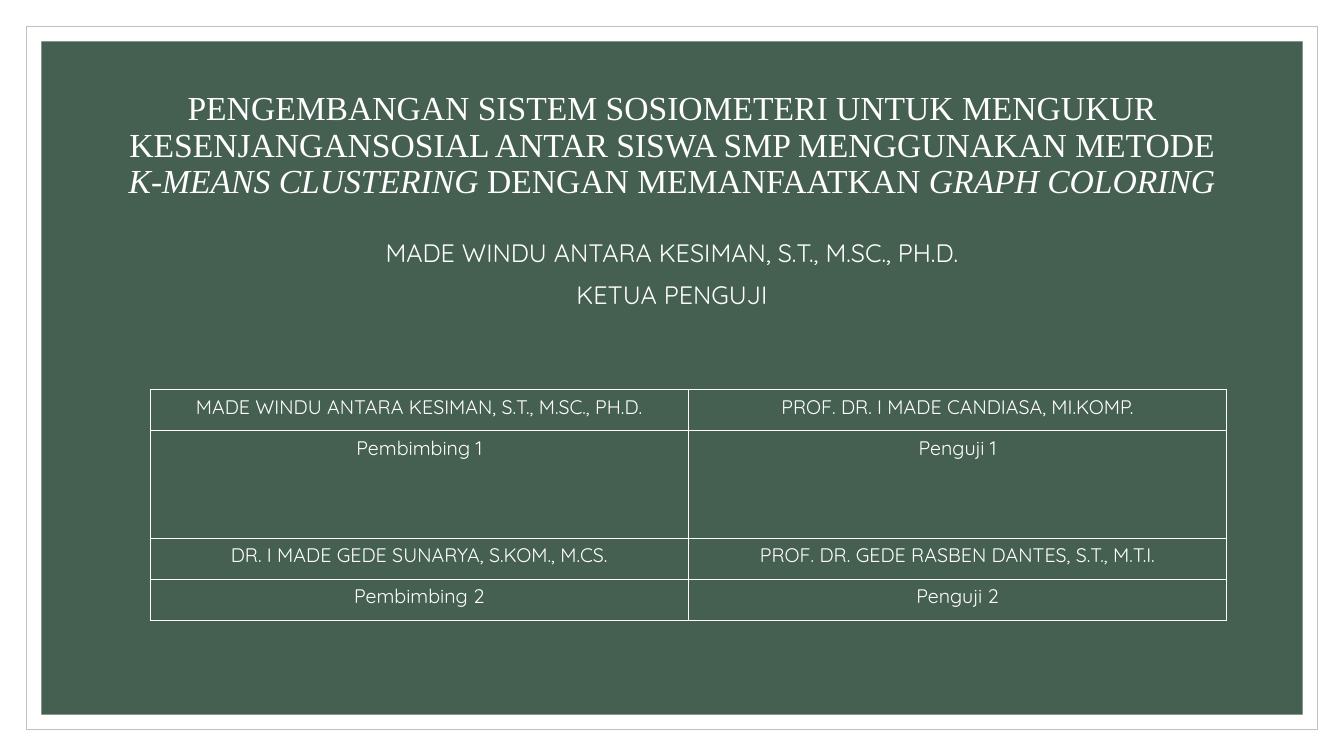
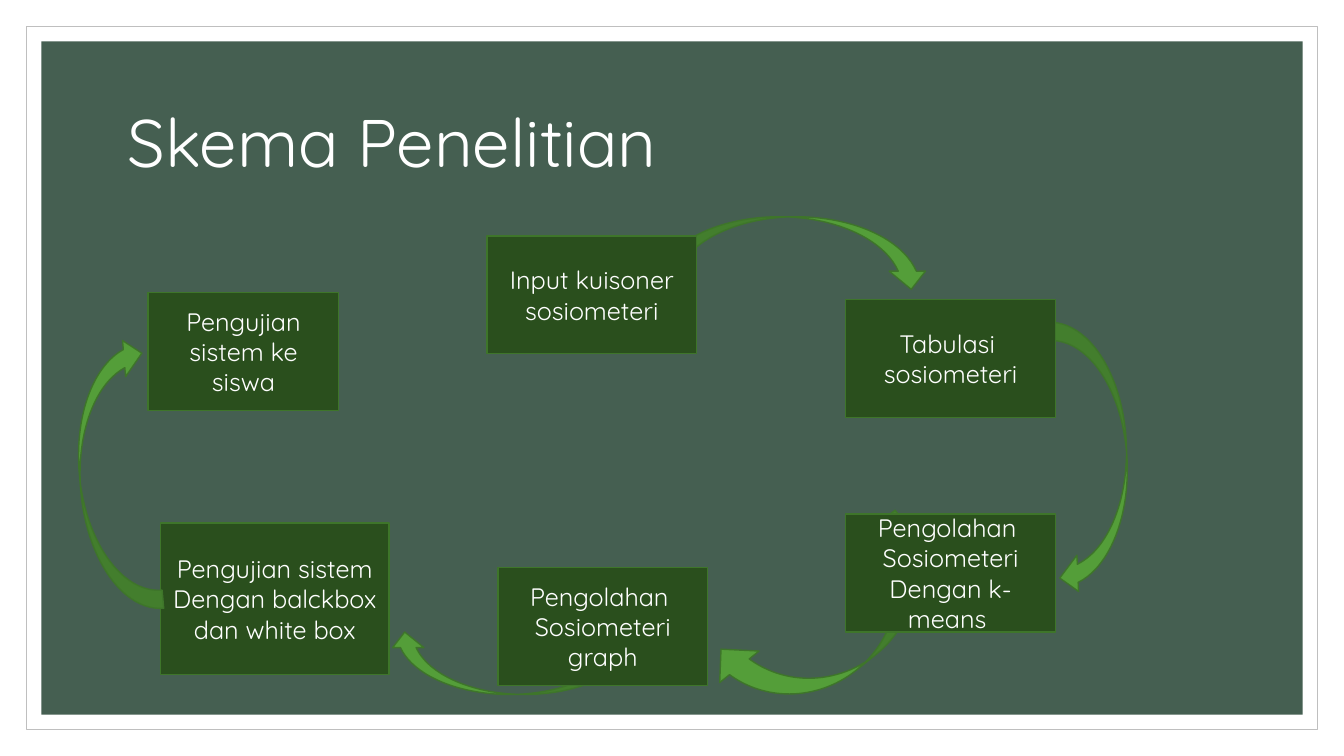
from lxml.etree import SubElement
from pptx import Presentation
from pptx.dml.color import RGBColor
from pptx.enum.shapes import MSO_SHAPE as SHAPE
from pptx.enum.text import MSO_ANCHOR as ANCHOR, MSO_AUTO_SIZE as AUTOSIZE, PP_ALIGN as ALIGN
from pptx.oxml.ns import qn
from pptx.util import Inches, Pt

COLORS = {
    "white": "FFFFFF",
    "frame": "BFBFBF",
    "board": "455F51",
    "box": "2A4F1D",
    "arrow": "549E39",
    "edge": "3E752A",
}
FONT = "Quicksand"

deck = Presentation()
deck.slide_width, deck.slide_height = Inches(13.333), Inches(7.5)
COL = deck.slide_width / 100   # the grid has 100 columns
ROW = deck.slide_height / 100  # and 100 rows
TITLE = (8.75, 9.33, 82.5, 20)


def add_figure(page, kind, left, top, width, height, fill, line=None, weight=1):
    shape = page.shapes.add_shape(
        kind, int(left * COL), int(top * ROW), int(width * COL), int(height * ROW))
    shape.shadow.inherit = False
    shape.fill.solid()
    shape.fill.fore_color.rgb = RGBColor.from_string(COLORS[fill])
    if line:
        shape.line.color.rgb = RGBColor.from_string(COLORS[line])
        shape.line.width = Pt(weight)
    else:
        shape.line.fill.background()
    return shape


def write(frame, paragraphs, size, align=ALIGN.CENTER, font=FONT, spacing=None, before=0):
    """Each paragraph is a list of (text, italic) runs."""
    frame.word_wrap = True
    for number, runs in enumerate(paragraphs):
        para = frame.add_paragraph() if number else frame.paragraphs[0]
        para.alignment = align
        para.space_before = Pt(before)
        if spacing:
            para.line_spacing = spacing
        for text, italic in runs:
            span = para.add_run()
            span.text = text
            span.font.size = Pt(size)
            span.font.name = font
            span.font.italic = italic
            span.font.color.rgb = RGBColor.from_string(COLORS["white"])


# Pages and their titles
titles = [
    ([("PENGEMBANGAN SISTEM SOSIOMETERI UNTUK MENGUKUR KESENJANGANSOSIAL "
       "ANTAR SISWA SMP MENGGUNAKAN METODE ", False),
      ("K-MEANS CLUSTERING ", True),
      ("DENGAN MEMANFAATKAN ", False),
      ("GRAPH COLORING", True)], 24, ALIGN.CENTER, "Times New Roman"),
    ([("Skema Penelitian", False)], 48, ALIGN.LEFT, FONT),
]
pages = []
for runs, size, align, font in titles:
    page = deck.slides.add_slide(deck.slide_layouts[5])
    title = page.shapes.title
    left, top, width, height = TITLE
    title.left, title.top = int(left * COL), int(top * ROW)
    title.width, title.height = int(width * COL), int(height * ROW)
    title.text_frame.auto_size = AUTOSIZE.NONE
    title.text_frame.vertical_anchor = ANCHOR.MIDDLE
    write(title.text_frame, [runs], size, align, font, spacing=0.9)
    pages.append(page)
approval, scheme = pages

# Frame and board, moved to the master so that every page shares them
master_tree = deck.slide_master.shapes.element
for index, (across, down, fill, line) in enumerate([
        (1.95, 3.47, "white", "frame"), (3.08, 5.47, "board", None)]):
    panel = add_figure(approval, SHAPE.RECTANGLE, across, down,
                       100 - 2 * across, 100 - 2 * down, fill, line, 0.5)
    panel.element.nvSpPr.cNvPr.set("id", str(100 + index))
    master_tree.insert(2 + index, panel.element)

# Slide 1: chair of the examiners
chair = approval.shapes.add_textbox(
    int(8.75 * COL), int(30.67 * ROW), int(82.5 * COL), int(57.33 * ROW))
write(chair.text_frame, [
    [("MADE WINDU ANTARA KESIMAN, S.T., M.SC., PH.D.", False)],
    [("KETUA PENGUJI", False)],
], 18, before=9)

# Slide 1: table of supervisors and examiners
members = [
    ("MADE WINDU ANTARA KESIMAN, S.T., M.SC., PH.D.", "PROF. DR. I MADE CANDIASA, MI.KOMP."),
    ("Pembimbing 1", "Penguji 1"),
    ("DR. I MADE GEDE SUNARYA, S.KOM., M.CS.", "PROF. DR. GEDE RASBEN DANTES, S.T., M.T.I."),
    ("Pembimbing 2", "Penguji 2"),
]
heights = [5.43, 14.27, 5.43, 5.43]
table = approval.shapes.add_table(
    len(members), 2, int(11.18 * COL), int(51.5 * ROW),
    int(80.1 * COL), int(sum(heights) * ROW)).table
table.first_row = table.horz_banding = False
for row, height, names in zip(table.rows, heights, members):
    row.height = int(height * ROW)
    for cell, name in zip(row.cells, names):
        write(cell.text_frame, [[(name, False)]], 14)
        properties = cell._tc.get_or_add_tcPr()
        for side in ("a:lnL", "a:lnR", "a:lnT", "a:lnB"):
            border = SubElement(properties, qn(side), w=str(Pt(1)))
            paint = SubElement(border, qn("a:solidFill"))
            SubElement(paint, qn("a:srgbClr"), val=COLORS["white"])
        cell.fill.background()

# Slide 2: arrows and steps, from back to front
LONG, THIN = 20.4, 9.6  # size of an arrow that curves down
SIDE = 15.6             # usual width and height of a step
arrows = [
    (SHAPE.CURVED_LEFT_ARROW, 35.85, 71.33, 4.65, 32.8, 90),
    (SHAPE.CURVED_DOWN_ARROW, 70.95, 55.73, LONG, THIN, 87.4),
    (SHAPE.CURVED_LEFT_ARROW, 57.98, 66.53, 7.5, 32.8, 51.4),
    (SHAPE.CURVED_DOWN_ARROW, 48.75, 28.67, LONG, THIN, 0),
    (SHAPE.CURVED_DOWN_ARROW, -1.58, 58, LONG, THIN, 265.1),
]
steps = [
    (36.23, 31.2, SIDE, SIDE, ["Input kuisoner", "sosiometeri"]),
    (62.93, 39.6, SIDE, SIDE, ["Tabulasi ", "sosiometeri"]),
    (62.93, 68, SIDE, SIDE, ["Pengolahan ", "Sosiometeri", "Dengan k-means "]),
    (37.05, 75.07, SIDE, SIDE, ["Pengolahan ", "Sosiometeri graph"]),
    (11.93, 69.2, 17.03, 20, ["Pengujian sistem", "Dengan balckbox dan white box"]),
    (11.03, 38.67, 14.18, SIDE, ["Pengujian sistem ke siswa"]),
]
for layer in (arrows[:-1], steps, arrows[-1:]):
    for item in layer:
        if layer is steps:
            left, top, width, height, lines = item
            step = add_figure(scheme, SHAPE.RECTANGLE, left, top, width, height, "box", "edge")
            step.text_frame.vertical_anchor = ANCHOR.MIDDLE
            write(step.text_frame, [[(line, False)] for line in lines], 18)
        else:
            kind, left, top, width, height, turn = item
            arrow = add_figure(scheme, kind, left, top, width, height, "arrow", "edge")
            arrow.rotation = turn

# Title in front of the first arrows
scheme_tree = scheme.shapes.element
scheme_tree.insert(2 + len(arrows[:-1]), scheme.shapes.title.element)

deck.save("out.pptx")
